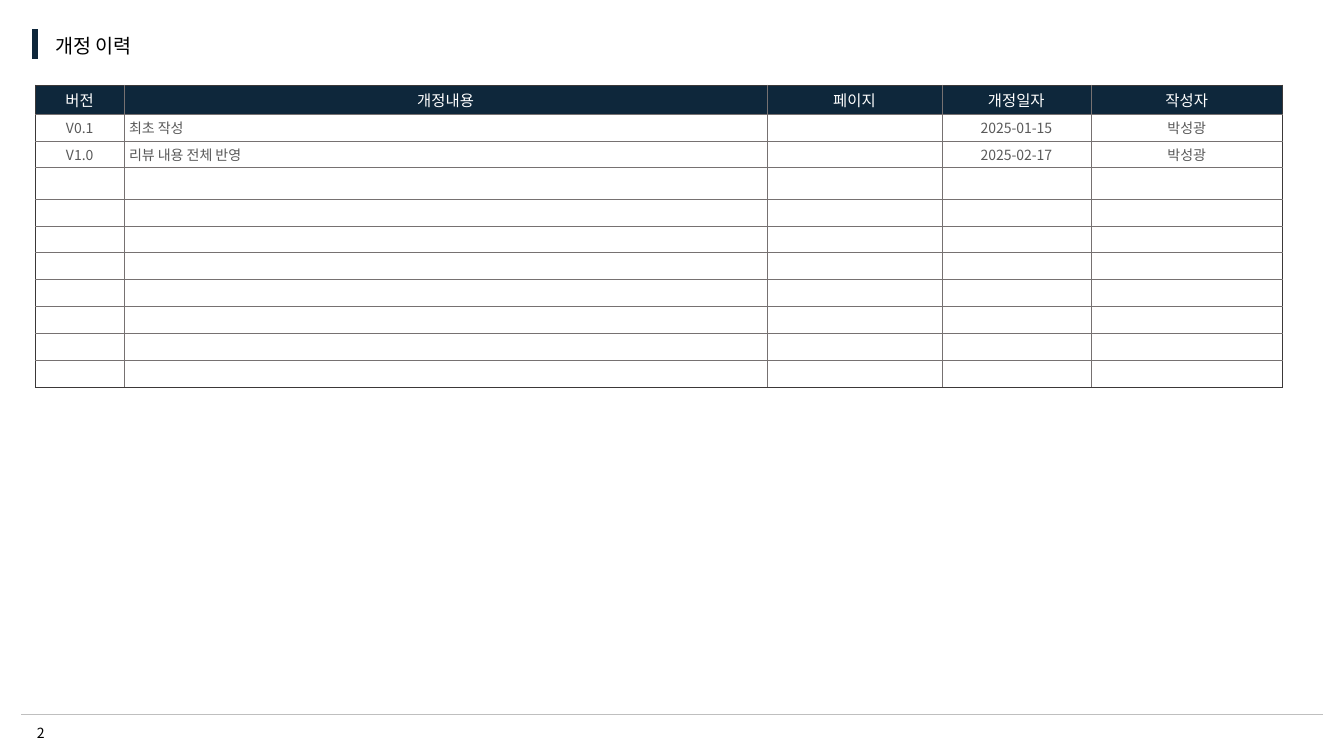
from dataclasses import dataclass
from itertools import product

from lxml import etree
from pptx import Presentation
from pptx.dml.color import RGBColor
from pptx.enum import shapes, text
from pptx.oxml import ns
from pptx.util import Inches, Pt

LEFT, MID = text.PP_ALIGN.LEFT, text.PP_ALIGN.CENTER


@dataclass(frozen=True)
class Theme:
    font: str = "Noto Sans CJK KR"
    navy: str = "0E273B"
    white: str = "FFFFFF"
    black: str = "000000"
    body: str = "595959"
    edge: str = "3B3838"
    grid: str = "767171"
    rule: str = "BFBFBF"
    title: float = 14
    head: float = 11
    small: float = 10
    hair: float = 0.25


@dataclass(frozen=True)
class Label:
    words: str
    box: tuple
    size: float
    align: text.PP_ALIGN
    wrap: bool


@dataclass(frozen=True)
class Line:
    start: tuple
    end: tuple
    color: str
    width: float


@dataclass(frozen=True)
class Column:
    name: str
    width: float
    align: text.PP_ALIGN = MID


THEME = Theme()
LABELS = [
    Label("2", (0.13, 7.14, 0.55, 0.27), THEME.small, MID, False),
    Label("개정 이력", (0.45, 0.29, 1.39, 0.32), THEME.title, LEFT, True),
]
LINES = [
    Line((0.21, 7.09), (13.12, 7.09), THEME.rule, 0.75),
    Line((0.35, 0.29), (0.35, 0.59), THEME.navy, 4.5),
]
COLUMNS = [
    Column("버전", 0.88),
    Column("개정내용", 6.38, LEFT),
    Column("페이지", 1.73),
    Column("개정일자", 1.48),
    Column("작성자", 1.9),
]
ENTRIES = [
    ("V0.1", "최초 작성", "", "2025-01-15", "박성광"),
    ("V1.0", "리뷰 내용 전체 반영", "", "2025-02-17", "박성광"),
]
ROWS = 11
HEIGHT = 3
TALL = {0: 0.29, 3: 0.31}


def write(para, words: str, size: float, color: str, align) -> None:
    para.alignment = align
    if not words:
        end = etree.SubElement(para._p, ns.qn("a:endParaRPr"))
        end.set("sz", str(Pt(size).centipoints))
        return
    run = para.add_run()
    run.text = words
    run.font.name = THEME.font
    run.font.size = Pt(size)
    run.font.color.rgb = RGBColor.from_string(color)
    east = etree.SubElement(run._r.get_or_add_rPr(), ns.qn("a:ea"))
    east.set("typeface", THEME.font)


def add_label(slide, label: Label) -> None:
    frame = slide.shapes.add_textbox(*map(Inches, label.box)).text_frame
    frame.word_wrap = label.wrap
    frame.vertical_anchor = text.MSO_ANCHOR.MIDDLE
    write(frame.paragraphs[0], label.words, label.size, THEME.black, label.align)


def add_line(slide, line: Line) -> None:
    ends = map(Inches, line.start + line.end)
    shape = slide.shapes.add_connector(shapes.MSO_CONNECTOR.STRAIGHT, *ends)
    shape.line.color.rgb = RGBColor.from_string(line.color)
    shape.line.width = Pt(line.width)
    etree.SubElement(shape._element.spPr, ns.qn("a:effectLst"))


def set_border(cell, outer: dict) -> None:
    props = cell._tc.get_or_add_tcPr()
    for place, (side, edge) in enumerate(outer.items()):
        line = etree.Element(ns.qn(f"a:ln{side}"), w=str(Pt(THEME.hair)))
        fill = etree.SubElement(line, ns.qn("a:solidFill"))
        color = THEME.edge if edge else THEME.grid
        etree.SubElement(fill, ns.qn("a:srgbClr"), val=color)
        props.insert(place, line)


def add_history(slide) -> None:
    width = sum(col.width for col in COLUMNS)
    box = map(Inches, (0.35, 0.84, width, HEIGHT))
    table = slide.shapes.add_table(ROWS, len(COLUMNS), *box).table
    table.horz_banding = False
    plain = (HEIGHT - sum(TALL.values())) / (ROWS - len(TALL))
    for i, row in enumerate(table.rows):
        row.height = Inches(TALL.get(i, plain))
    for part, col in zip(table.columns, COLUMNS):
        part.width = Inches(col.width)

    data = [tuple(col.name for col in COLUMNS), *ENTRIES]
    data += [("",) * len(COLUMNS)] * (ROWS - len(data))
    for i, j in product(range(ROWS), range(len(COLUMNS))):
        cell = table.cell(i, j)
        head = i == 0
        cell.vertical_anchor = text.MSO_ANCHOR.MIDDLE
        cell.margin_left = cell.margin_right = Inches(0.05)
        cell.margin_top = cell.margin_bottom = Inches(0.03)
        cell.fill.solid()
        cell.fill.fore_color.rgb = RGBColor.from_string(
            THEME.navy if head else THEME.white)
        write(cell.text_frame.paragraphs[0], data[i][j],
              THEME.head if head else THEME.small,
              THEME.white if head else THEME.body,
              MID if head else COLUMNS[j].align)
        set_border(cell, {"L": j == 0, "R": j == len(COLUMNS) - 1,
                          "T": head, "B": i == ROWS - 1})


def main() -> None:
    deck = Presentation()
    deck.slide_width, deck.slide_height = Inches(13.33), Inches(7.5)
    slide = deck.slides.add_slide(deck.slide_layouts[6])
    for line in LINES:
        add_line(slide, line)
    for label in LABELS:
        add_label(slide, label)
    add_history(slide)
    deck.save("out.pptx")


if __name__ == "__main__":
    main()
